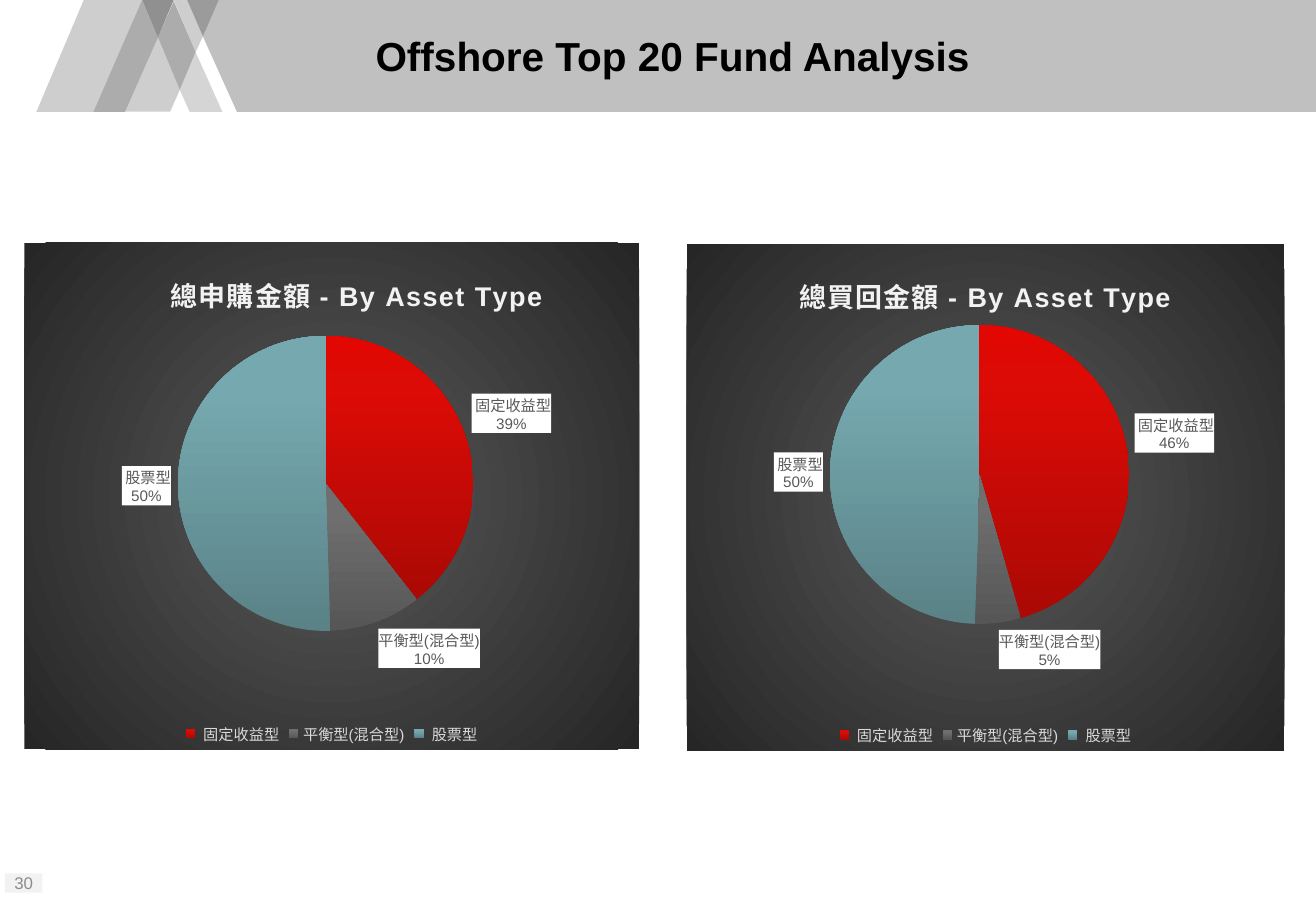
from lxml import etree
from pptx import Presentation
from pptx.chart.data import CategoryChartData
from pptx.dml.color import RGBColor
from pptx.enum.chart import XL_CHART_TYPE, XL_LABEL_POSITION, XL_LEGEND_POSITION
from pptx.enum.shapes import MSO_SHAPE
from pptx.enum.text import MSO_ANCHOR, PP_ALIGN
from pptx.oxml import parse_xml
from pptx.oxml.ns import qn
from pptx.util import Inches, Pt

PIE = XL_CHART_TYPE.PIE
OUTSIDE = XL_LABEL_POSITION.OUTSIDE_END
BOTTOM = XL_LEGEND_POSITION.BOTTOM
RECT = MSO_SHAPE.RECTANGLE
MIDDLE = MSO_ANCHOR.MIDDLE
CENTER = PP_ALIGN.CENTER
FACE = "Arial"
NS = ('xmlns:a="http://schemas.openxmlformats.org/drawingml/2006/main" '
      'xmlns:c="http://schemas.openxmlformats.org/drawingml/2006/chart"')

BANDS = [
    ("C0C0C0", [(1.67, 0.3), (1.95, 0.92), (10.83, 0.92), (10.83, 0), (1.79, 0)]),
    ("D5D5D5", [(1.61, 0.43), (1.48, 0.74), (1.56, 0.92), (1.83, 0.92)]),
    ("CECECE", [(1.54, 0), (1.43, 0), (1.61, 0.43), (1.67, 0.3)]),
    ("CECECE", [(1.3, 0.31), (1.03, 0.92), (1.4, 0.92), (1.48, 0.74)]),
    ("CECECE", [(1.17, 0), (0.69, 0), (0.3, 0.92), (0.78, 0.92)]),
    ("9B9B9B", [(1.8, 0), (1.54, 0), (1.67, 0.3)]),
    ("ACACAC", [(1.43, 0.01), (1.3, 0.31), (1.48, 0.74), (1.61, 0.43)]),
    ("ACACAC", [(1.17, 0), (0.77, 0.92), (1.03, 0.92), (1.3, 0.31)]),
    ("909090", [(1.43, 0), (1.17, 0), (1.3, 0.31)]),
]
TYPES = [" 固定收益型", "平衡型(混合型)", " 股票型"]
SHADES = [
    [(0, "AA0905"), (80, "DC0B06"), (100, "E20702")],
    [(0, "565656"), (80, "6F6F6F"), (100, "707070")],
    [(0, "5A8287"), (80, "75A9AF"), (100, "75ABB1")],
]
BACK = [(0, "595959"), (100, "262626")]
DOWN = '<a:lin ang="16200000" scaled="0"/>'
ROUND = ('<a:path path="circle"><a:fillToRect l="50000" t="50000" '
         'r="50000" b="50000"/></a:path>')


def color(code):
    return RGBColor.from_string(code)


def style(font, size, tone, bold=False):
    font.name = FACE
    font.size = Pt(size)
    font.bold = bold
    font.color.rgb = color(tone)


def write(frame, text, size=10, tone="000000", bold=False, space=0):
    para = frame.paragraphs[0]
    para.alignment = CENTER
    run = para.add_run()
    run.text = text
    style(run.font, size, tone, bold)
    if space:
        run.font._element.set("spc", str(space))


def paint(shape, tone):
    shape.shadow.inherit = False
    shape.fill.solid()
    shape.fill.fore_color.rgb = color(tone)
    shape.line.fill.background()


def blend(stops, way):
    marks = "".join(f'<a:gs pos="{at * 1000}"><a:srgbClr val="{tone}"/></a:gs>'
                    for at, tone in stops)
    return f'<a:gradFill rotWithShape="1"><a:gsLst>{marks}</a:gsLst>{way}</a:gradFill>'


def skin(fill):
    return parse_xml(f'<c:spPr {NS}>{fill}<a:ln><a:noFill/></a:ln></c:spPr>')


def place(node, index, inner, **spots):
    for old in node.findall(qn("c:layout")):
        node.remove(old)
    target = '<c:layoutTarget val="inner"/>' if inner else ""
    modes = '<c:xMode val="edge"/><c:yMode val="edge"/>'
    vals = "".join(f'<c:{key} val="{val}"/>' for key, val in spots.items())
    node.insert(index, parse_xml(
        f'<c:layout {NS}><c:manualLayout>{target}{modes}{vals}'
        '</c:manualLayout></c:layout>'))


def header(slide, x, y):
    for tone, points in BANDS:
        spots = [(Inches(x + px), Inches(y + py)) for px, py in points]
        pen = slide.shapes.build_freeform(*spots[0])
        pen.add_line_segments(spots[1:], close=True)
        paint(pen.convert_to_shape(), tone)
    box = slide.shapes.add_textbox(
        Inches(x + 2.07), Inches(y + 0.06), Inches(6.93), Inches(0.79))
    frame = box.text_frame
    frame.word_wrap = True
    frame.vertical_anchor = MIDDLE
    frame.margin_left = frame.margin_right = 0
    frame.margin_top = frame.margin_bottom = 0
    write(frame, "Offshore Top 20 Fund Analysis", size=24, bold=True)


def footer(slide, x, y, w, h):
    tag = slide.shapes.add_shape(RECT, Inches(x), Inches(y), Inches(w), Inches(h))
    paint(tag, "F2F2F2")
    frame = tag.text_frame
    frame.vertical_anchor = MIDDLE
    frame.margin_left = frame.margin_right = Inches(0.04)
    frame.margin_top = frame.margin_bottom = Inches(0.05)
    write(frame, "30", tone="8C8C8C")


def panel(slide, x, y, w, h, title, vals, head, pie):
    data = CategoryChartData()
    data.categories = TYPES
    data.add_series("Series 1", vals)
    chart = slide.shapes.add_chart(
        PIE, Inches(x), Inches(y), Inches(w), Inches(h), data).chart
    style(chart.font, 10, "000000")
    root = chart._chartSpace.find(qn("c:chart"))
    root.addnext(skin(blend(BACK, ROUND)))

    chart.has_title = True
    write(chart.chart_title.text_frame, title, size=16, tone="F2F2F2",
          bold=True, space=100)
    place(root.find(qn("c:title")), 1, False, x=head[0], y=head[1])
    place(root.find(qn("c:plotArea")), 0, True,
          x=pie[0], y=pie[1], w=pie[2], h=pie[3])

    chart.has_legend = True
    chart.legend.position = BOTTOM
    chart.legend.include_in_layout = False
    style(chart.legend.font, 9, "D9D9D9")

    plot = chart.plots[0]
    plot.vary_by_categories = True
    series = plot.series[0]
    for i, stops in enumerate(SHADES):
        point = series._element.get_or_add_dPt_for_point(i)
        for old in point.findall(qn("c:spPr")):
            point.remove(old)
        point.append(skin(blend(stops, DOWN)))

    labels = series.data_labels
    style(labels.font, 9, "595959")
    labels.number_format = '0"%"'
    labels.number_format_is_linked = False
    labels.show_category_name = True
    labels.show_value = True
    labels.show_legend_key = False
    labels.position = OUTSIDE
    node = labels._element
    node.find(qn("c:txPr")).addprevious(
        skin('<a:solidFill><a:srgbClr val="FFFFFF"/></a:solidFill>'))
    gap = etree.Element(qn("c:separator"))
    gap.text = "\n"
    node.find(qn("c:showBubbleSize")).addnext(gap)


def main():
    deck = Presentation()
    deck.slide_width = Inches(10.83)
    deck.slide_height = Inches(7.5)
    slide = deck.slides.add_slide(deck.slide_layouts[6])
    header(slide, 0, 0)
    footer(slide, 0.04, 7.19, 0.31, 0.16)
    panel(slide, 0.2, 2, 5.06, 4.17, "總申購金額 - By Asset Type",
          (39, 10, 50), (0.23, 0.05), (0.25, 0.18, 0.48, 0.59))
    panel(slide, 5.65, 2.01, 4.92, 4.17, "總買回金額 - By Asset Type",
          (46, 5, 50), (0.18, 0.05), (0.24, 0.16, 0.5, 0.59))
    deck.save("out.pptx")


if __name__ == "__main__":
    main()
